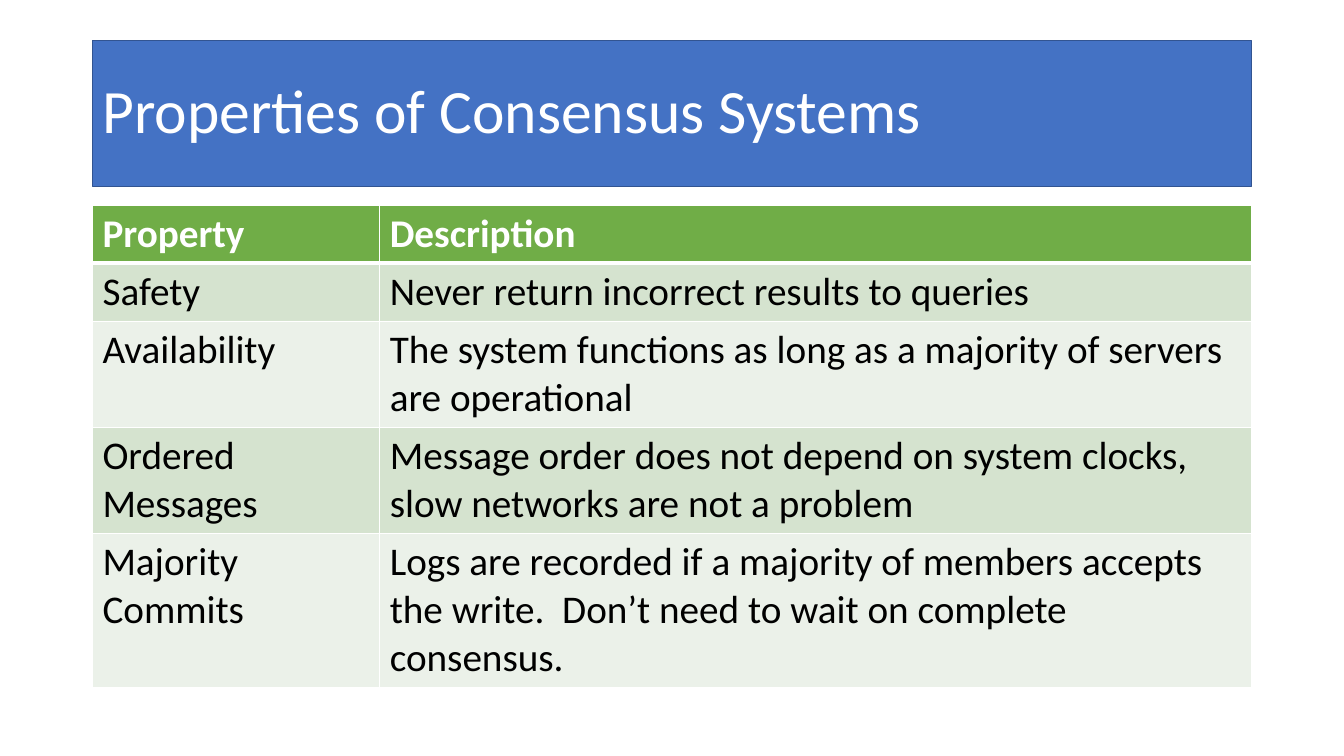
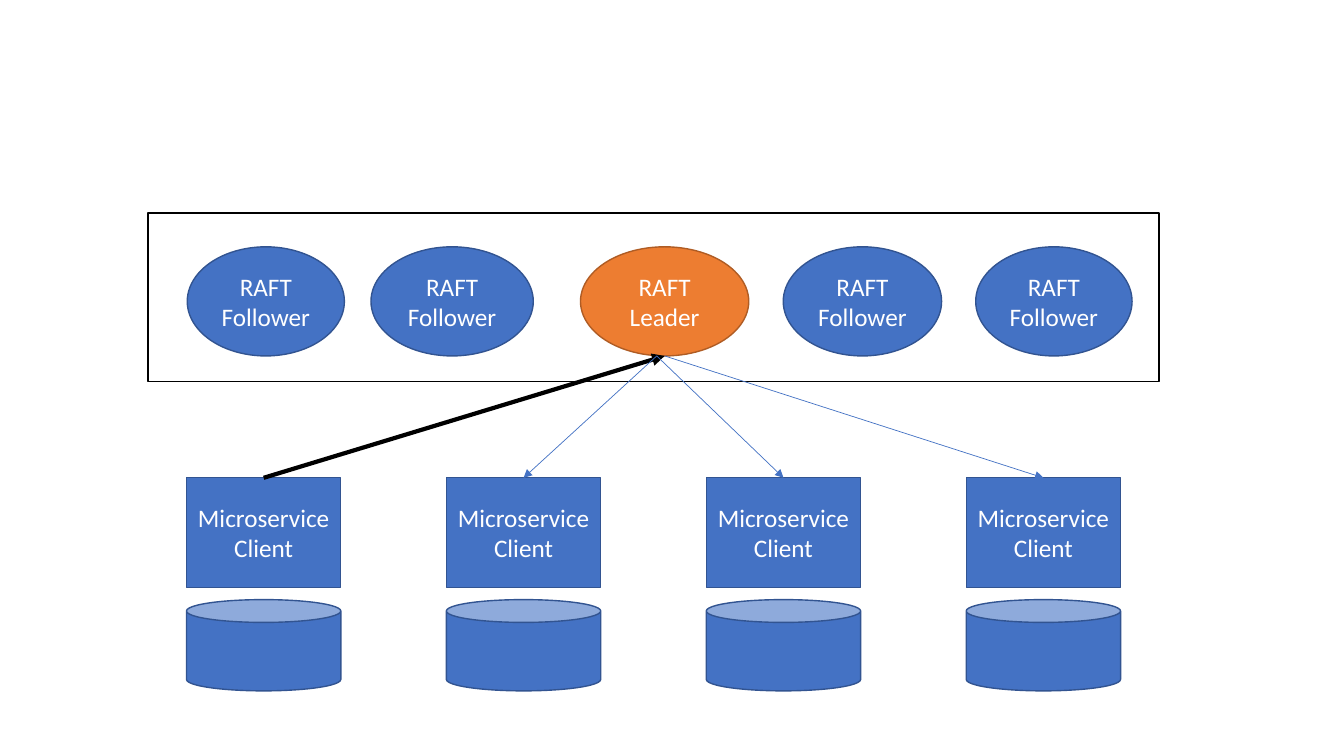
from lxml import etree
from pptx import Presentation
from pptx.dml.color import RGBColor
from pptx.enum.shapes import MSO_CONNECTOR, MSO_SHAPE
from pptx.enum.text import MSO_ANCHOR, PP_ALIGN
from pptx.oxml.ns import qn
from pptx.util import Cm, Pt

RECTANGLE, ELLIPSE, CAN = MSO_SHAPE.RECTANGLE, MSO_SHAPE.OVAL, MSO_SHAPE.CAN
STRAIGHT = MSO_CONNECTOR.STRAIGHT
LEFT, CENTER = PP_ALIGN.LEFT, PP_ALIGN.CENTER
TOP, MIDDLE = MSO_ANCHOR.TOP, MSO_ANCHOR.MIDDLE
TOP_SIDE = 0

FONT = "Calibri"
COLORS = {
    "blue": "4472C4",
    "dark blue": "325491",
    "orange": "ED7D31",
    "dark orange": "AF5C24",
    "green": "70AD47",
    "band": "D5E3CF",
    "light band": "EBF1E9",
    "white": "FFFFFF",
    "black": "000000",
}

PROPERTIES = [
    ("Property", "Description"),
    ("Safety", "Never return incorrect results to queries"),
    ("Availability",
     "The system functions as long as a majority of servers are operational"),
    ("Ordered Messages",
     "Message order does not depend on system clocks, slow networks are not a problem"),
    ("Majority Commits",
     "Logs are recorded if a majority of members accepts the write.  "
     "Don’t need to wait on complete consensus."),
]
COLUMN_WIDTHS = (7.24, 21.97)
ROW_HEIGHTS = (1.46, 1.46, 2.67, 2.67, 3.88)

# Left edge and width of each follower, in cm
FOLLOWERS = [(4.72, 3.96), (9.35, 4.09), (19.74, 3.99), (24.59, 3.94)]
LEADER_LEFT, LEADER_WIDTH = 14.63, 4.24
NODE_TOP, NODE_HEIGHT = 6.22, 2.75
CLIENT_COUNT, CLIENT_LEFT, CLIENT_PITCH, CLIENT_WIDTH = 4, 4.7, 6.55, 3.89
CLIENT_TOP, CLIENT_HEIGHT = 12.04, 2.76
STORE_TOP, STORE_HEIGHT = 15.11, 2.3


def color(name):
    return RGBColor.from_string(COLORS[name])


def add_text(frame, text, size=18, text_color="white", bold=False,
             align=LEFT, line_spacing=None):
    frame.word_wrap = True
    paragraph = frame.paragraphs[0]
    paragraph.alignment = align
    paragraph.line_spacing = line_spacing
    run = paragraph.add_run()
    run.text = text
    run.font.name = FONT
    run.font.size = Pt(size)
    run.font.bold = bold
    run.font.color.rgb = color(text_color)


def add_box(slide, kind, left, top, width, height, text="",
            fill="blue", line="dark blue", **text_format):
    shape = slide.shapes.add_shape(kind, Cm(left), Cm(top), Cm(width), Cm(height))
    shape.shadow.inherit = False
    shape.fill.solid()
    shape.fill.fore_color.rgb = color(fill)
    shape.line.color.rgb = color(line)
    shape.line.width = Pt(1)
    if text:
        shape.text_frame.vertical_anchor = MIDDLE
        add_text(shape.text_frame, text, **text_format)
    return shape


def add_title(slide, text):
    return add_box(slide, RECTANGLE, 2.33, 1.02, 29.21, 3.68, text,
                   size=44, line_spacing=0.9)


def add_arrow(slide, begin, end, line, width):
    connector = slide.shapes.add_connector(
        STRAIGHT, *(Cm(length) for length in begin + end))
    connector.line.color.rgb = color(line)
    connector.line.width = Pt(width)
    etree.SubElement(connector.line._get_or_add_ln(), qn("a:tailEnd"), type="triangle")
    etree.SubElement(connector._element.spPr, qn("a:effectLst"))
    return connector


def set_borders(cell, bottom_width):
    properties = cell._tc.get_or_add_tcPr()
    for side, width in (("L", 1), ("R", 1), ("T", 1), ("B", bottom_width)):
        border = etree.SubElement(properties, qn(f"a:ln{side}"), w=str(Pt(width)))
        fill = etree.SubElement(border, qn("a:solidFill"))
        etree.SubElement(fill, qn("a:srgbClr"), val=COLORS["white"])


def add_table(slide, rows, left, top):
    table = slide.shapes.add_table(
        len(rows), len(COLUMN_WIDTHS), Cm(left), Cm(top),
        Cm(sum(COLUMN_WIDTHS)), Cm(sum(ROW_HEIGHTS))).table
    for column, width in zip(table.columns, COLUMN_WIDTHS):
        column.width = Cm(width)
    for index, texts in enumerate(rows):
        table.rows[index].height = Cm(ROW_HEIGHTS[index])
        header = index == 0
        fill = "green" if header else "band" if index % 2 else "light band"
        for cell, text in zip(table.rows[index].cells, texts):
            set_borders(cell, 3 if header else 1)
            cell.fill.solid()
            cell.fill.fore_color.rgb = color(fill)
            cell.vertical_anchor = TOP
            add_text(cell.text_frame, text, size=28, bold=header,
                     text_color="white" if header else "black")


def build_properties(slide):
    add_title(slide, "Properties of Consensus Systems")
    add_table(slide, PROPERTIES, 2.33, 5.17)


def build_cluster(slide):
    # Consensus group
    add_box(slide, RECTANGLE, 3.73, 5.37, 25.48, 4.24, fill="white", line="black")
    add_box(slide, ELLIPSE, LEADER_LEFT, NODE_TOP, LEADER_WIDTH, NODE_HEIGHT,
            "RAFT Leader", fill="orange", line="dark orange", align=CENTER)
    for left, width in FOLLOWERS:
        add_box(slide, ELLIPSE, left, NODE_TOP, width, NODE_HEIGHT,
                "RAFT Follower", align=CENTER)

    # Clients with their stores
    clients = []
    for index in range(CLIENT_COUNT):
        left = CLIENT_LEFT + index * CLIENT_PITCH
        clients.append(add_box(slide, RECTANGLE, left, CLIENT_TOP, CLIENT_WIDTH,
                               CLIENT_HEIGHT, "Microservice Client", align=CENTER))
        add_box(slide, CAN, left, STORE_TOP, CLIENT_WIDTH, STORE_HEIGHT)

    # One client writes to the leader, which updates the others
    leader_center = LEADER_LEFT + LEADER_WIDTH / 2
    leader_bottom = NODE_TOP + NODE_HEIGHT
    client_centers = [CLIENT_LEFT + index * CLIENT_PITCH + CLIENT_WIDTH / 2
                      for index in range(CLIENT_COUNT)]
    write = add_arrow(slide, (client_centers[0], CLIENT_TOP),
                      (leader_center, leader_bottom), "black", 3)
    write.begin_connect(clients[0], TOP_SIDE)
    starts = (leader_center - 0.2, leader_center - 0.2, leader_center)
    for start, center, client in zip(starts, client_centers[1:], clients[1:]):
        update = add_arrow(slide, (start, leader_bottom), (center, CLIENT_TOP),
                           "blue", 0.5)
        update.end_connect(client, TOP_SIDE)


def main():
    presentation = Presentation()
    presentation.slide_width = Cm(33.87)
    presentation.slide_height = Cm(19.05)
    blank_layout = presentation.slide_layouts[6]
    for build in (build_properties, build_cluster):
        build(presentation.slides.add_slide(blank_layout))
    presentation.save("out.pptx")


if __name__ == "__main__":
    main()
